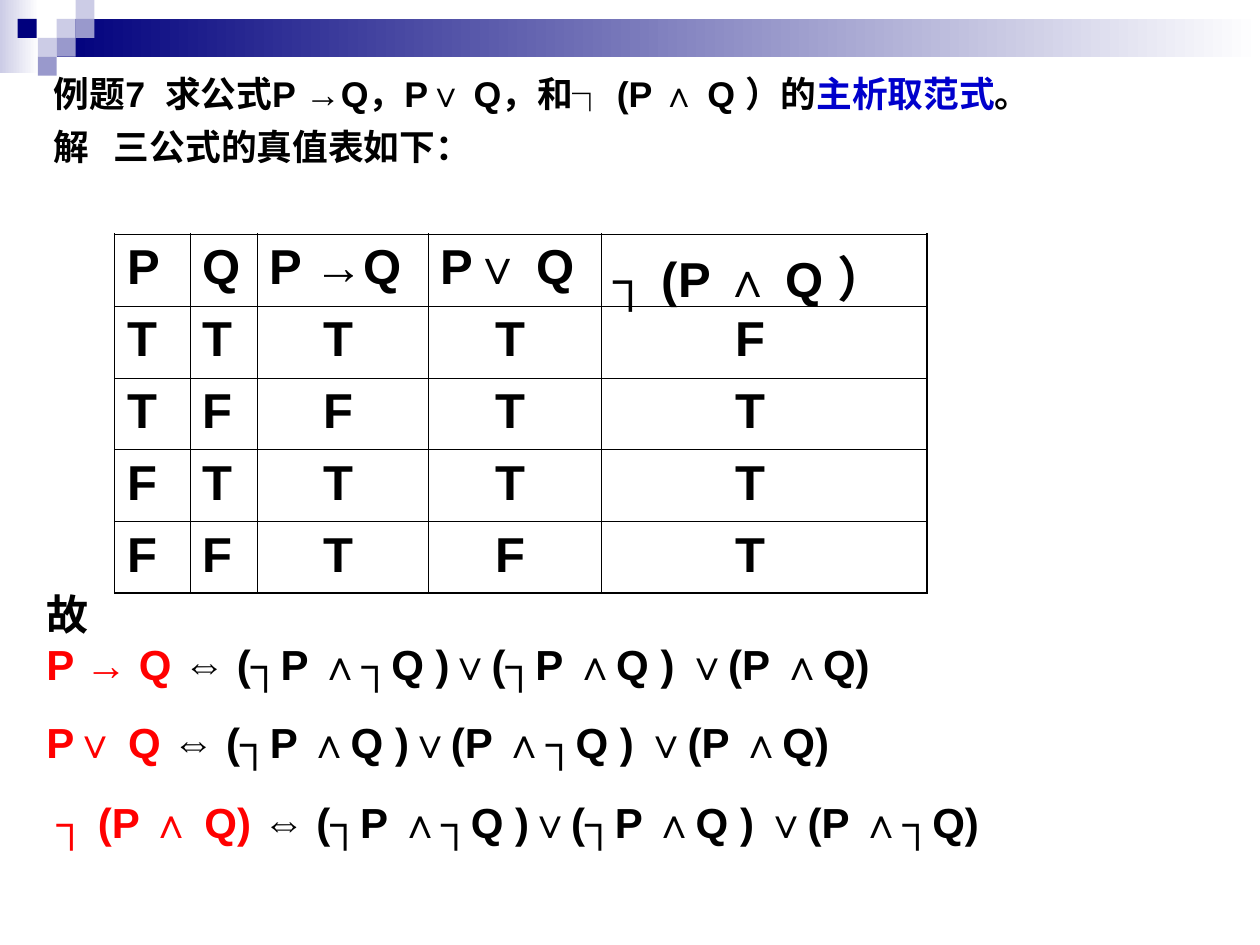
"""Truth table and principal disjunctive normal forms of three formulas."""
from lxml.etree import SubElement
from pptx import Presentation
from pptx.dml.color import RGBColor
from pptx.enum.shapes import MSO_SHAPE
from pptx.oxml.ns import qn
from pptx.util import Inches, Pt

BLACK = RGBColor(0x00, 0x00, 0x00)
WHITE = RGBColor(0xFF, 0xFF, 0xFF)
RED = RGBColor(0xFF, 0x00, 0x00)
BLUE = RGBColor(0x00, 0x00, 0xCC)
NAVY = RGBColor(0x00, 0x00, 0x7D)
LILAC = RGBColor(0xCC, 0xCC, 0xE6)
VIOLET = RGBColor(0x99, 0x99, 0xCC)

BANDS = [(0, 0, 0.31, 0.58, LILAC), (0.45, 0.15, 9.55, 0.3, NAVY)]
SQUARE = 0.15
SQUARES = [
    (0.45, 0.15, LILAC), (0.6, 0, LILAC), (0.6, 0.15, VIOLET), (0.3, 0.3, LILAC),
    (0.14, 0.15, NAVY), (0.45, 0.3, VIOLET), (0.3, 0.45, VIOLET),
]
PROBLEM = [
    [("例题7  求公式P →Q，P∨ Q，和┐ (P ∧ Q ）的", BLACK), ("主析取范式", BLUE), ("。", BLACK)],
    [("解   三公式的真值表如下：", BLACK)],
]
RESULTS = [
    (0.27, 4.62, 7.4, 0.9, [
        [("故", BLACK)],
        [("P → Q ", RED), ("⇔ (┐P ∧┐Q )∨(┐P ∧Q ) ∨(P ∧Q)", BLACK)],
    ]),
    (0.27, 5.64, 7.32, 0.5, [
        [("P∨ Q ", RED), ("⇔ (┐P ∧Q )∨(P ∧┐Q ) ∨(P ∧Q)", BLACK)],
    ]),
    (0.35, 6.27, 8.19, 0.5, [
        [("┐ (P ∧ Q) ", RED), ("⇔ (┐P ∧┐Q )∨(┐P ∧Q ) ∨(P ∧┐Q)", BLACK)],
    ]),
]
TRUTH = [
    ["P", "Q", "P →Q", "P∨ Q", "┐ (P ∧ Q ）"],
    ["T", "T", "T", "T", "F"],
    ["T", "F", "F", "T", "T"],
    ["F", "T", "T", "T", "T"],
    ["F", "F", "T", "F", "T"],
]
COLS = [0.6, 0.53, 1.36, 1.37, 2.59]
VALUE_INDENTS = [0, 0, 0.43, 0.43, 0.97]
ROW = 0.57
THICK, THIN = 1.08, 0.45


def style(r, size, color):
    r.font.name, r.font.size, r.font.bold = "Arial", Pt(size), True
    r.font.color.rgb = color


def add_rect(s, x, y, w, h, color, fade=False):
    sp = s.shapes.add_shape(MSO_SHAPE.RECTANGLE, Inches(x), Inches(y), Inches(w), Inches(h))
    sp.shadow.inherit = False
    sp.line.fill.background()
    if fade:
        sp.fill.gradient()
        sp.fill.gradient_angle = 0
        for stop, c in zip(sp.fill.gradient_stops, (color, WHITE)):
            stop.color.rgb = c
    else:
        sp.fill.solid()
        sp.fill.fore_color.rgb = color


def add_text(s, x, y, w, h, lines, size, before=0, hang=0):
    tf = s.shapes.add_textbox(Inches(x), Inches(y), Inches(w), Inches(h)).text_frame
    tf.word_wrap = True
    for i, line in enumerate(lines):
        p = tf.add_paragraph() if i else tf.paragraphs[0]
        p.space_before = Pt(before)
        pPr = p._p.get_or_add_pPr()
        pPr.set("marL", str(Inches(hang)))
        pPr.set("indent", str(-Inches(hang)))
        for text, color in line:
            r = p.add_run()
            r.text = text
            style(r, size, color)


def set_borders(cell, widths):
    tcPr = cell._tc.get_or_add_tcPr()
    for i, (side, width) in enumerate(zip("LRTB", widths)):
        ln = SubElement(tcPr, qn(f"a:ln{side}"), w=str(Pt(width)))
        fill = SubElement(ln, qn("a:solidFill"))
        SubElement(fill, qn("a:srgbClr"), val=str(BLACK))
        tcPr.insert(i, ln)


def add_truth_table(s, x, y):
    rows, cols = len(TRUTH), len(COLS)
    tbl = s.shapes.add_table(rows, cols, Inches(x), Inches(y),
                             Inches(sum(COLS)), Inches(ROW * rows)).table
    tbl.first_row = tbl.horz_banding = False
    for col, w in zip(tbl.columns, COLS):
        col.width = Inches(w)
    for i, values in enumerate(TRUTH):
        tbl.rows[i].height = Inches(ROW)
        for j, value in enumerate(values):
            cell = tbl.cell(i, j)
            cell.fill.background()
            p = cell.text_frame.paragraphs[0]
            p.text = value
            p.space_before = Pt(7)
            if i:
                p._p.get_or_add_pPr().set("marL", str(Inches(VALUE_INDENTS[j])))
            style(p.runs[0], 28, BLACK)
            outer = (j == 0, j == cols - 1, i == 0, i == rows - 1)
            set_borders(cell, [THICK if edge else THIN for edge in outer])


def main():
    prs = Presentation()
    prs.slide_width, prs.slide_height = Inches(10), Inches(7.5)
    s = prs.slides.add_slide(prs.slide_layouts[6])
    for band in BANDS:
        add_rect(s, *band, fade=True)
    for x, y, color in SQUARES:
        add_rect(s, x, y, SQUARE, SQUARE, color)
    add_text(s, 0.33, 0.52, 9.15, 1.18, PROBLEM, 20.4, before=6, hang=0.38)
    add_truth_table(s, 0.91, 1.86)
    for x, y, w, h, lines in RESULTS:
        add_text(s, x, y, w, h, lines, 24)
    prs.save("out.pptx")


if __name__ == "__main__":
    main()
